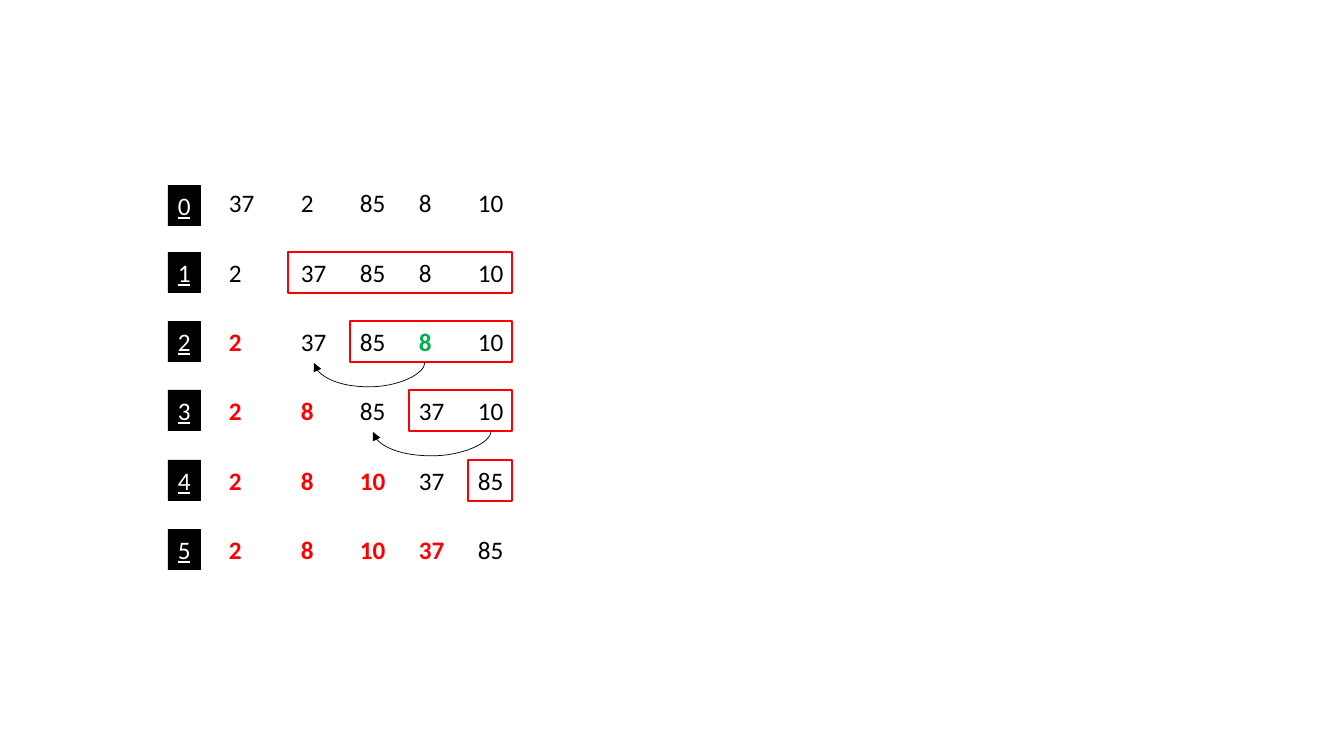
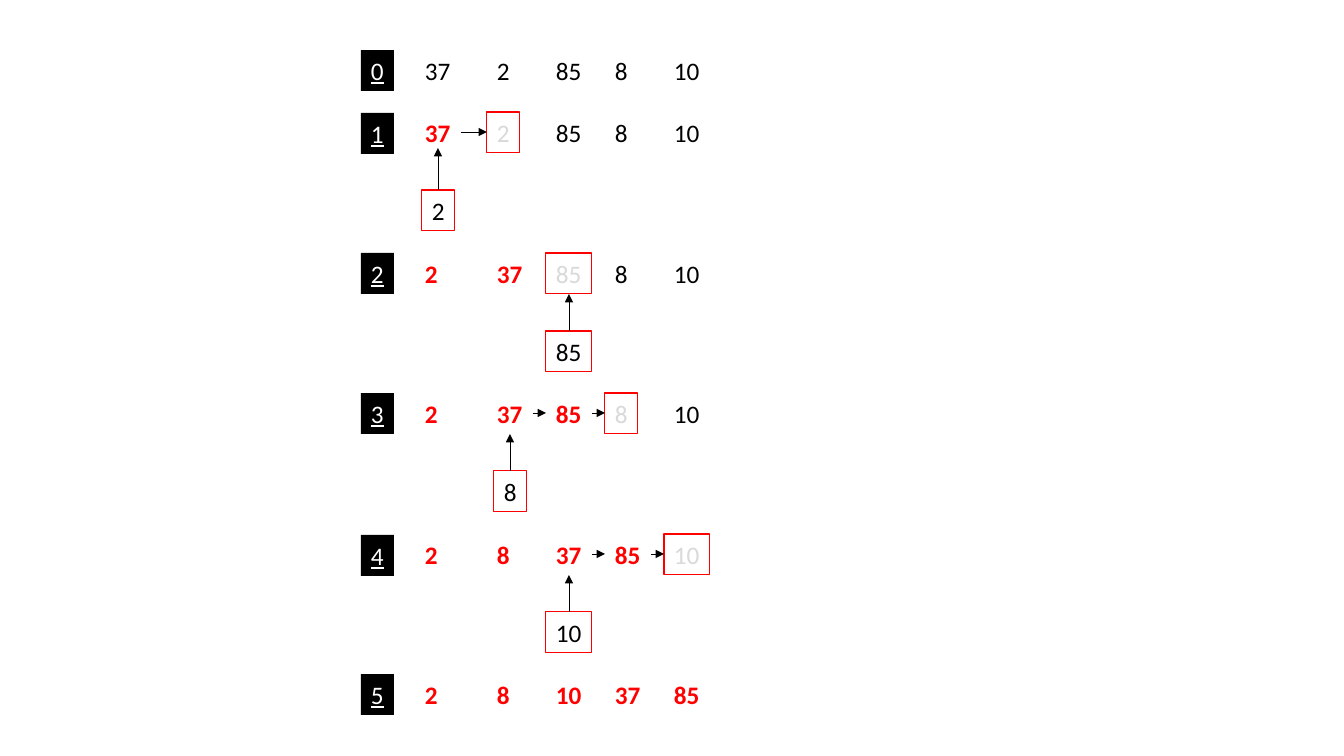
from dataclasses import dataclass
from typing import Optional

from lxml.etree import SubElement
from pptx import Presentation
from pptx.dml.color import RGBColor as Rgb
from pptx.enum.shapes import MSO_CONNECTOR as Link, MSO_SHAPE as Preset
from pptx.enum.text import MSO_AUTO_SIZE as AutoSize
from pptx.oxml.ns import qn
from pptx.shapes.connector import Connector
from pptx.shapes.shapetree import GroupShapes, SlideShapes
from pptx.util import Emu, Pt

EMU_PER_INCH = 914400
PIXELS_PER_INCH = 100.8


@dataclass(frozen=True)
class Theme:
    font: str = "Calibri"
    size: float = 18
    ink: str = "000000"
    paper: str = "FFFFFF"
    accent: str = "FF0000"
    minimum: str = "00B050"
    vacated: str = "D9D9D9"
    window_line: float = 1
    box_line: float = 0.75
    arrow_line: float = 0.5


@dataclass(frozen=True)
class Step:
    top: int
    values: tuple[int, ...]
    done: int
    label_drop: int = 0


@dataclass(frozen=True)
class SelectionStep(Step):
    window_left: Optional[int] = None
    swap_from: Optional[int] = None
    minimum_at: Optional[int] = None


@dataclass(frozen=True)
class InsertionStep(Step):
    insert_at: Optional[int] = None
    arrow_tip: int = 41


THEME = Theme()
CELL_HEIGHT = 41
DIGIT_WIDTHS = {1: 33, 2: 46}
COLUMNS = (0, 72, 131, 190, 249)
SELECTION_LABEL, SELECTION_LEFT, WINDOW_RIGHT = 168, 219, 512
INSERTION_LABEL, INSERTION_LEFT = 361, 415
INSERT_DROP = 78
CURVE_DEPTH = 25

SELECTION_STEPS = (
    SelectionStep(182, (37, 2, 85, 8, 10), 0, label_drop=3),
    SelectionStep(252, (2, 37, 85, 8, 10), 0, window_left=288),
    SelectionStep(321, (2, 37, 85, 8, 10), 1, window_left=350, swap_from=3, minimum_at=3),
    SelectionStep(390, (2, 8, 85, 37, 10), 2, window_left=409, swap_from=4),
    SelectionStep(460, (2, 8, 10, 37, 85), 3, window_left=468),
    SelectionStep(529, (2, 8, 10, 37, 85), 4),
)
INSERTION_STEPS = (
    InsertionStep(50, (37, 2, 85, 8, 10), 0),
    InsertionStep(112, (37, 2, 85, 8, 10), 1, label_drop=1, insert_at=0, arrow_tip=36),
    InsertionStep(253, (2, 37, 85, 8, 10), 2, insert_at=2),
    InsertionStep(393, (2, 37, 85, 8, 10), 3, insert_at=1),
    InsertionStep(534, (2, 8, 37, 85, 10), 4, label_drop=1, insert_at=2),
    InsertionStep(674, (2, 8, 10, 37, 85), 5),
)


def px(length: float) -> Emu:
    return Emu(round(length * EMU_PER_INCH / PIXELS_PER_INCH))


def width_of(value: int) -> int:
    return DIGIT_WIDTHS[len(str(value))]


def center_of(step: Step, left: int, column: int) -> int:
    return left + COLUMNS[column] + width_of(step.values[column]) // 2


def draw_number(shapes: GroupShapes, value: int, left: int, top: int, color: str,
                bold: bool = False, underline: bool = False,
                fill: Optional[str] = None, outline: Optional[str] = None) -> None:
    cell = shapes.add_textbox(px(left), px(top), px(width_of(value)), px(CELL_HEIGHT))
    if fill:
        cell.fill.solid()
        cell.fill.fore_color.rgb = Rgb.from_string(fill)
    if outline:
        cell.line.color.rgb = Rgb.from_string(outline)
        cell.line.width = Pt(THEME.box_line)
    frame = cell.text_frame
    frame.word_wrap = False
    frame.auto_size = AutoSize.SHAPE_TO_FIT_TEXT
    digits = frame.paragraphs[0].add_run()
    digits.text = str(value)
    formats = {"name": THEME.font, "size": Pt(THEME.size), "bold": bold, "underline": underline}
    for attribute, setting in formats.items():
        setattr(digits.font, attribute, setting)
    digits.font.color.rgb = Rgb.from_string(color)


def draw_arrow(shapes: GroupShapes | SlideShapes, start: tuple[float, float],
               end: tuple[float, float], link: Link = Link.STRAIGHT) -> Connector:
    arrow = shapes.add_connector(link, *map(px, start + end))
    arrow.line.color.rgb = Rgb.from_string(THEME.ink)
    arrow.line.width = Pt(THEME.arrow_line)
    properties = arrow.element.spPr
    SubElement(properties.find(qn("a:ln")), qn("a:tailEnd"), type="triangle")
    SubElement(properties, qn("a:effectLst"))
    return arrow


def draw_swap(shapes: SlideShapes, source: int, target: int, top: int) -> None:
    middle, half = (source + target) / 2, (source - target) / 2
    center = top + 0.5
    curve = draw_arrow(shapes, (middle - 0.5, center - half), (middle + 0.5, center + half),
                       Link.CURVE)
    properties = curve.element.spPr
    properties.find(qn("a:xfrm")).set("rot", "5400000")
    adjustments = properties.find(qn("a:prstGeom")).find(qn("a:avLst"))
    SubElement(adjustments, qn("a:gd"), name="adj1", fmla=f"val {CURVE_DEPTH * 100000}")


def draw_window(shapes: GroupShapes, left: int, top: int) -> None:
    window = shapes.add_shape(Preset.RECTANGLE, px(left), px(top),
                              px(WINDOW_RIGHT - left), px(CELL_HEIGHT))
    window.shadow.inherit = False
    window.fill.background()
    window.line.color.rgb = Rgb.from_string(THEME.accent)
    window.line.width = Pt(THEME.window_line)


def draw_label(shapes: GroupShapes, index: int, step: Step, left: int) -> None:
    draw_number(shapes, index, left, step.top + step.label_drop, THEME.paper,
                underline=True, fill=THEME.ink)


def draw_selection(shapes: SlideShapes) -> None:
    for index, step in enumerate(SELECTION_STEPS):
        row = shapes.add_group_shape().shapes
        for column, value in enumerate(step.values):
            smallest = column == step.minimum_at
            placed = column < step.done
            color = THEME.minimum if smallest else THEME.accent if placed else THEME.ink
            draw_number(row, value, SELECTION_LEFT + COLUMNS[column], step.top, color,
                        bold=placed or smallest)
        if step.window_left is not None:
            draw_window(row, step.window_left, step.top)
        draw_label(row, index, step, SELECTION_LABEL)
        if step.swap_from is not None:
            draw_swap(shapes, center_of(step, SELECTION_LEFT, step.swap_from),
                      center_of(step, SELECTION_LEFT, step.done), step.top + CELL_HEIGHT)


def draw_insert(row: GroupShapes, step: InsertionStep, target: int) -> None:
    inserted = step.values[step.done]
    center = center_of(step, INSERTION_LEFT, target)
    box_top = step.top + INSERT_DROP
    draw_number(row, inserted, center - width_of(inserted) // 2, box_top, THEME.ink,
                outline=THEME.accent)
    draw_arrow(row, (center, box_top), (center, step.top + step.arrow_tip))
    shift_y = step.top + CELL_HEIGHT // 2
    for column in range(target, step.done):
        shift_x = INSERTION_LEFT + COLUMNS[column] + width_of(step.values[column])
        draw_arrow(row, (shift_x, shift_y), (INSERTION_LEFT + COLUMNS[column + 1], shift_y))


def draw_insertion(shapes: SlideShapes) -> None:
    for index, step in enumerate(INSERTION_STEPS):
        row = shapes.add_group_shape().shapes
        for column, value in enumerate(step.values):
            placed = column < step.done
            vacated = step.insert_at is not None and column == step.done
            color = THEME.vacated if vacated else THEME.accent if placed else THEME.ink
            draw_number(row, value, INSERTION_LEFT + COLUMNS[column], step.top, color,
                        bold=placed, outline=THEME.accent if vacated else None)
        if step.insert_at is not None:
            draw_insert(row, step, step.insert_at)
        draw_label(row, index, step, INSERTION_LABEL)


def main() -> None:
    deck = Presentation()
    deck.slide_width, deck.slide_height = px(1344), px(756)
    blank = deck.slide_layouts[6]
    for draw in (draw_selection, draw_insertion):
        draw(deck.slides.add_slide(blank).shapes)
    deck.save("out.pptx")


main()
